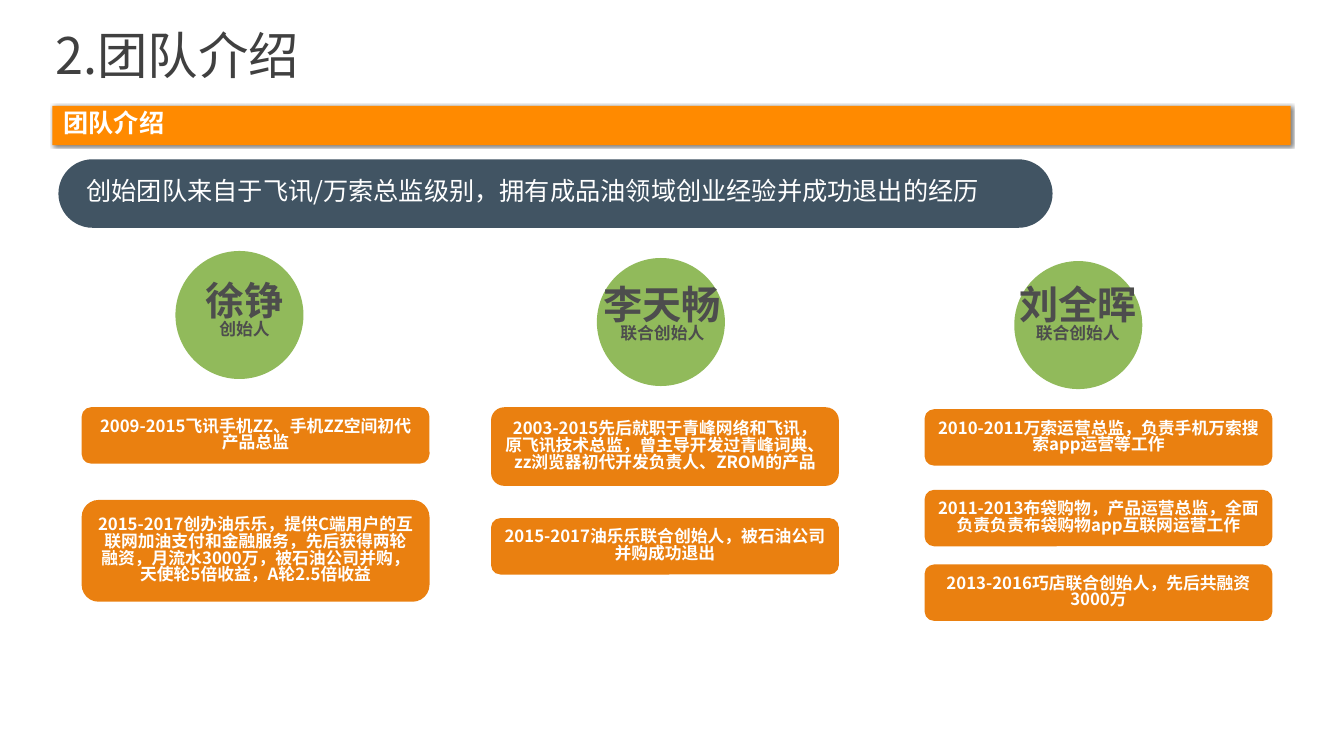
from lxml import etree
from pptx import Presentation, util as u
from pptx.dml.color import RGBColor
from pptx.enum import shapes, text
from pptx.oxml import ns

TITLE = "2.团队介绍"
LABEL = "团队介绍"
CLAIM = "创始团队来自于飞讯/万索总监级别，拥有成品油领域创业经验并成功退出的经历"
TEAM = [
    {"name": "徐铮", "role": "创始人", "left": 0.81,
     "disc": (1.74, 2.49), "tag": (1.93, 2.77, 0.99),
     "cards": [
         (4.04, 0.56, "2009-2015飞讯手机ZZ、手机ZZ空间初代产品总监"),
         (4.96, 1.01, "2015-2017创办油乐乐，提供C端用户的互联网加油支付和金融服务，"
                      "先后获得两轮融资，月流水3000万，被石油公司并购，"
                      "天使轮5倍收益，A轮2.5倍收益")]},
    {"name": "李天畅", "role": "联合创始人", "left": 4.87,
     "disc": (5.92, 2.56), "tag": (5.88, 2.81, 1.38),
     "cards": [
         (4.04, 0.78, "2003-2015先后就职于青峰网络和飞讯，原飞讯技术总监，"
                      "曾主导开发过青峰词典、zz浏览器初代开发负责人、ZROM的产品"),
         (5.14, 0.56, "2015-2017油乐乐联合创始人，被石油公司并购成功退出")]},
    {"name": "刘全晖", "role": "联合创始人", "left": 9.17,
     "disc": (10.06, 2.59), "tag": (10, 2.81, 1.38),
     "cards": [
         (4.06, 0.56, "2010-2011万索运营总监，负责手机万索搜索app运营等工作"),
         (4.86, 0.56, "2011-2013布袋购物，产品运营总监，"
                      "全面负责负责布袋购物app互联网运营工作"),
         (5.6, 0.56, "2013-2016巧店联合创始人，先后共融资3000万")]},
]
CARD_W = 3.45
DISC = 1.27
FONT = "Noto Sans CJK SC"
LEADING = 0.82
WHITE = RGBColor(0xFF, 0xFF, 0xFF)
AMBER = RGBColor(0xFF, 0x8A, 0x00)
ORANGE = RGBColor(0xEA, 0x80, 0x10)
GREEN = RGBColor(0x91, 0xBA, 0x5B)
SLATE = RGBColor(0x41, 0x54, 0x63)
GREY = RGBColor(0x4D, 0x4D, 0x4D)
DARK = RGBColor(0x40, 0x40, 0x40)
KIND = shapes.MSO_SHAPE
LEFT, MID = text.PP_ALIGN.LEFT, text.PP_ALIGN.CENTER


def write(shape, rows, color, align, bold=True, inset=(0.1, 0.05),
          anchor=text.MSO_ANCHOR.MIDDLE, wrap=True):
    frame = shape.text_frame
    frame.text = "\n".join(words for words, size in rows)
    frame.word_wrap = wrap
    frame.auto_size = text.MSO_AUTO_SIZE.NONE
    frame.vertical_anchor = anchor
    frame.margin_left = frame.margin_right = u.Inches(inset[0])
    frame.margin_top = frame.margin_bottom = u.Inches(inset[1])
    for para, (words, size) in zip(frame.paragraphs, rows):
        para.alignment = align
        para.line_spacing = LEADING
        para.space_before = u.Pt(0)
        for run in para.runs:
            font = run.font
            font.name, font.size, font.bold = FONT, u.Pt(size), bold
            font.color.rgb = color
            east = etree.SubElement(font._element, ns.qn("a:ea"))
            east.set("typeface", FONT)


def block(slide, kind, box, fill):
    shape = slide.shapes.add_shape(kind, *map(u.Inches, box))
    shape.shadow.inherit = False
    shape.fill.solid()
    shape.fill.fore_color.rgb = fill
    shape.line.fill.background()
    return shape


def shade(shape):
    effects = shape._element.spPr.find(ns.qn("a:effectLst"))
    outer = etree.SubElement(effects, ns.qn("a:outerShdw"), blurRad=str(u.Pt(2)),
                             dist=str(u.Pt(1)), dir="2700000", rotWithShape="0")
    color = etree.SubElement(outer, ns.qn("a:srgbClr"), val="000000")
    etree.SubElement(color, ns.qn("a:alpha"), val="50000")


def main():
    deck = Presentation()
    deck.slide_width, deck.slide_height = u.Inches(13.33), u.Inches(7.5)
    slide = deck.slides.add_slide(deck.slide_layouts[5])

    title = slide.shapes.title
    title.left, title.top, title.width, title.height = map(
        u.Inches, (0.55, 0.35, 12.26, 0.48))
    write(title, [(TITLE, 36)], DARK, LEFT, bold=False, inset=(0, 0))

    bar = block(slide, KIND.RECTANGLE, (0.52, 1.05, 12.28, 0.39), AMBER)
    shade(bar)
    write(bar, [(LABEL, 18)], WHITE, LEFT, inset=(0.11, 0))

    pill = block(slide, KIND.ROUNDED_RECTANGLE, (0.58, 1.58, 9.86, 0.68), SLATE)
    pill.adjustments[0] = 0.5
    write(pill, [(CLAIM, 18)], WHITE, LEFT, bold=False, inset=(0.18, 0.05))

    for who in TEAM:
        block(slide, KIND.OVAL, (*who["disc"], DISC, DISC), GREEN)
        x, y, wide = who["tag"]
        tag = slide.shapes.add_textbox(*map(u.Inches, (x, y, wide, 0.77)))
        write(tag, [(who["name"], 28), (who["role"], 12)], GREY, MID,
              anchor=text.MSO_ANCHOR.TOP, wrap=False)
        for top, high, words in who["cards"]:
            card = block(slide, KIND.ROUNDED_RECTANGLE,
                         (who["left"], top, CARD_W, high), ORANGE)
            write(card, [(words, 12)], WHITE, MID)

    deck.save("out.pptx")


if __name__ == "__main__":
    main()
